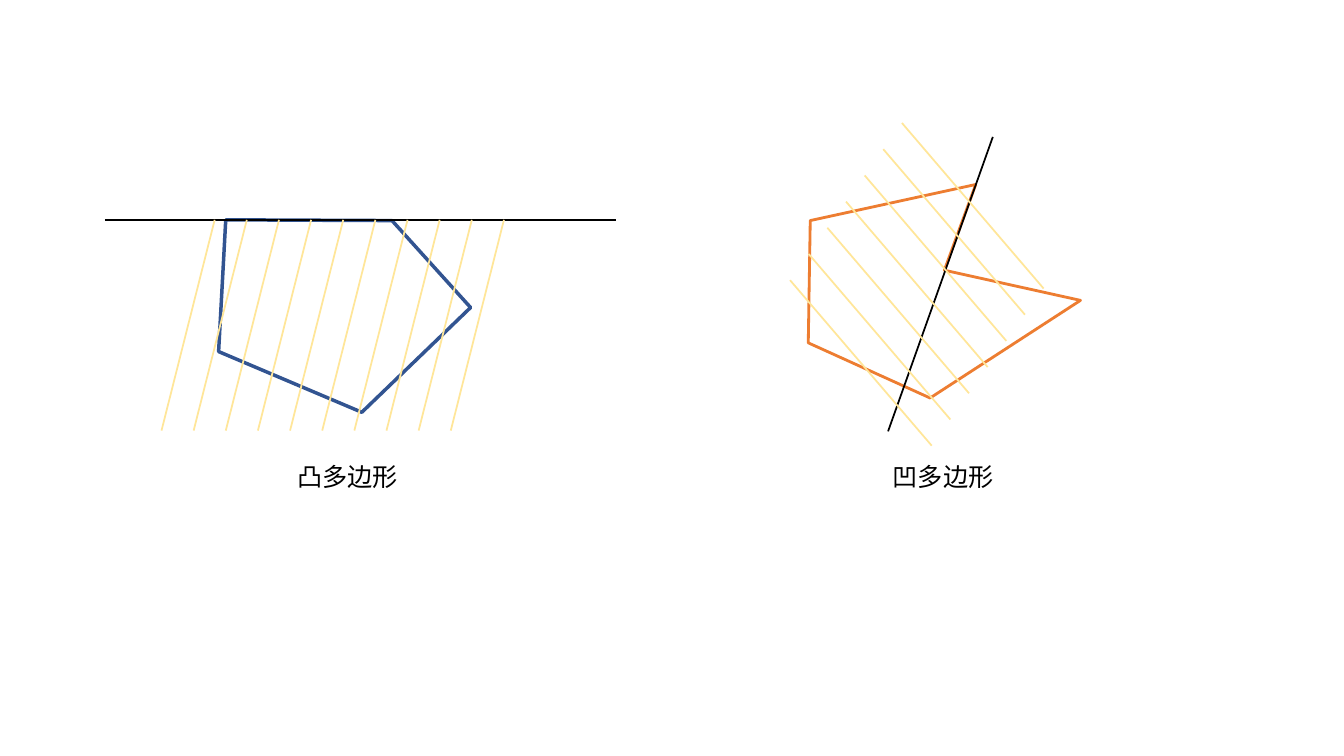
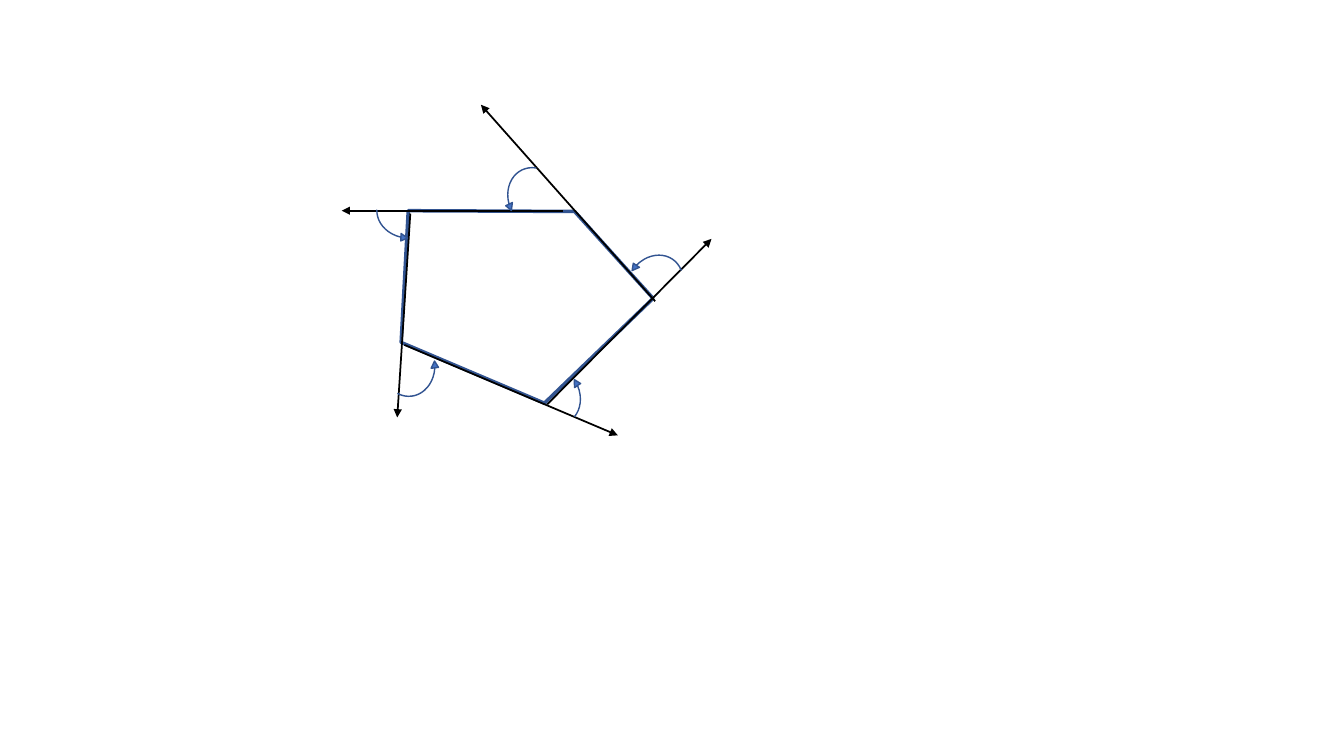
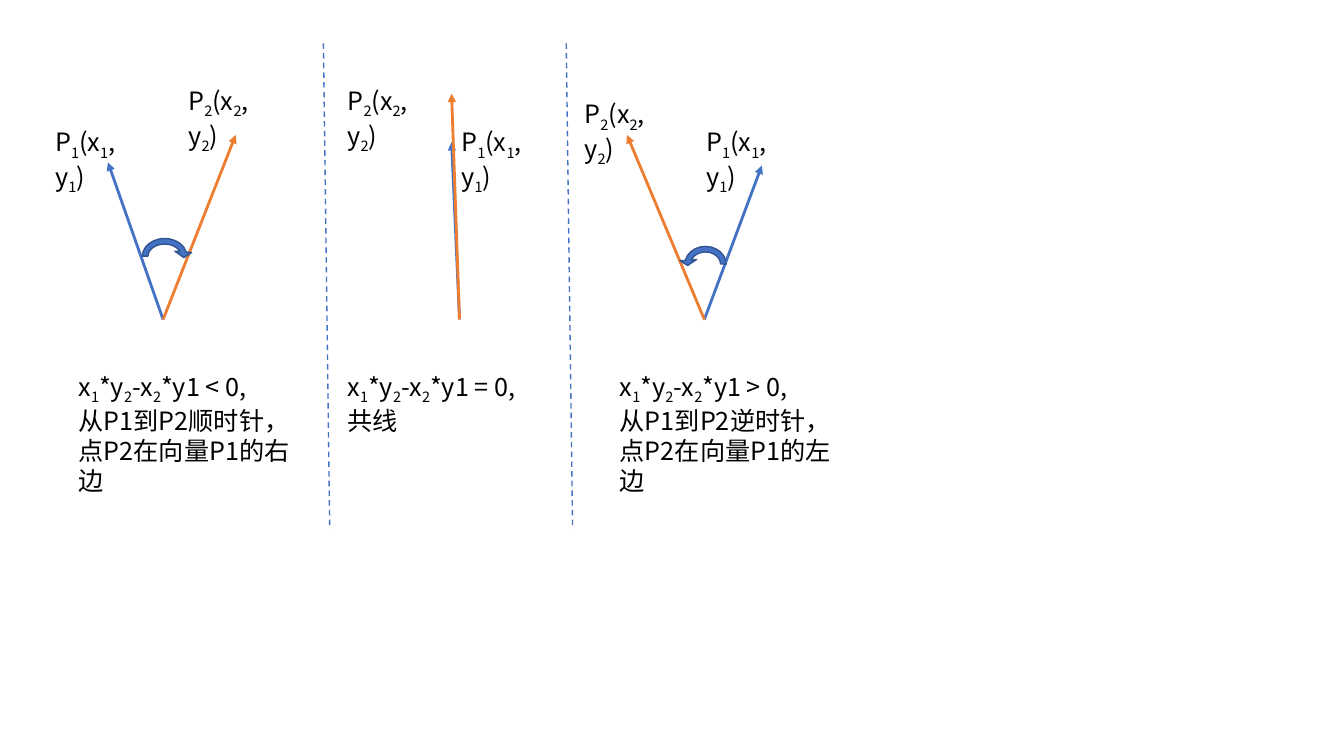
from dataclasses import dataclass

from lxml.etree import SubElement
from pptx import Presentation
from pptx.dml.color import RGBColor
from pptx.enum.dml import MSO_LINE_DASH_STYLE as Dash
from pptx.enum.shapes import MSO_CONNECTOR as Connector, MSO_SHAPE as Preset
from pptx.enum.text import MSO_AUTO_SIZE as AutoSize
from pptx.oxml.ns import qn
from pptx.util import Cm, Pt


@dataclass(frozen=True)
class Theme:
    black: RGBColor = RGBColor.from_string("000000")
    blue: RGBColor = RGBColor.from_string("4472C4")
    navy: RGBColor = RGBColor.from_string("325491")
    orange: RGBColor = RGBColor.from_string("ED7D31")
    yellow: RGBColor = RGBColor.from_string("FFE699")
    font: str = "Noto Sans CJK SC"
    text_size: float = 18
    thin: float = 1
    line: float = 1.25
    vector: float = 2
    outline: float = 2.5


theme = Theme()


def add_text(slide, text, left, top, width, height=1.02, wrap=True):
    """Add a text box; the character after each underscore is a subscript."""
    box = slide.shapes.add_textbox(Cm(left), Cm(top), Cm(width), Cm(height))
    frame = box.text_frame
    frame.word_wrap = wrap
    frame.auto_size = AutoSize.SHAPE_TO_FIT_TEXT
    for index, row in enumerate(text.split("\n")):
        paragraph = frame.paragraphs[0] if index == 0 else frame.add_paragraph()
        first, *others = row.split("_")
        pieces = [(first, False)]
        for part in others:
            pieces += [(part[0], True), (part[1:], False)]
        for piece, subscript in pieces:
            if not piece:
                continue
            run = paragraph.add_run()
            run.text = piece
            run.font.size = Pt(theme.text_size)
            run.font.name = theme.font
            run.font.color.rgb = theme.black
            properties = run.font._element
            SubElement(properties, qn("a:ea")).set("typeface", theme.font)
            if subscript:
                properties.set("baseline", "-25000")


def add_line(slide, start, end, color=theme.black, width=theme.line,
             arrow=False, dashed=False):
    """Add a straight line; an arrow points at its start."""
    connector = slide.shapes.add_connector(
        Connector.STRAIGHT, *[Cm(value) for value in (*start, *end)])
    connector.line.color.rgb = color
    connector.line.width = Pt(width)
    if dashed:
        connector.line.dash_style = Dash.DASH
    if arrow:
        outline = connector.line._get_or_add_ln()
        SubElement(outline, qn("a:headEnd")).set("type", "triangle")
    SubElement(connector.element.spPr, qn("a:effectLst"))


presentation = Presentation()
presentation.slide_width, presentation.slide_height = Cm(33.87), Cm(19.05)
blank = presentation.slide_layouts[6]
polygon_slide, turning_slide, vector_slide = [
    presentation.slides.add_slide(blank) for _ in range(3)]

# Polygons: the convex one appears again, shifted, on the turning slide
convex = [(5.69, 5.54), (9.88, 5.56), (11.86, 7.75), (9.12, 10.39), (5.51, 8.86)]
concave = [(20.42, 5.56), (24.59, 4.65), (23.8, 6.81), (27.23, 7.57),
           (23.44, 10.03), (20.37, 8.64)]
shifted = [(x + 4.6, y - 0.23) for x, y in convex]
for slide, corners, color, width in (
        (polygon_slide, concave, theme.orange, theme.vector),
        (polygon_slide, convex, theme.navy, theme.outline),
        (turning_slide, shifted, theme.navy, theme.outline)):
    points = [(Cm(x), Cm(y)) for x, y in corners]
    builder = slide.shapes.build_freeform(*points[0])
    builder.add_line_segments(points[1:], close=True)
    polygon = builder.convert_to_shape()
    polygon.shadow.inherit = False
    polygon.fill.background()
    polygon.line.color.rgb = color
    polygon.line.width = Pt(width)

# Slide 1: captions, dividing lines and hatched half-planes
add_text(polygon_slide, "凹多边形", 22.25, 11.51, 3.07, wrap=False)
add_text(polygon_slide, "凸多边形", 7.24, 11.51, 3.07, wrap=False)
add_line(polygon_slide, (2.64, 5.54), (15.52, 5.54))
add_line(polygon_slide, (22.38, 10.87), (25.02, 3.45))
for count, (left, top), (step_x, step_y), (run_x, run_y) in (
        (10, (5.41, 5.54), (0.81, 0), (-1.34, 5.31)),
        (7, (19.91, 7.06), (0.47, -0.66), (3.57, 4.17))):
    for index in range(count):
        x, y = left + index * step_x, top + index * step_y
        add_line(polygon_slide, (x, y), (x + run_x, y + run_y), theme.yellow)

# Slide 2: extended edges
for tip, tail in (
        ((17.93, 6.02), (13.79, 10.19)),
        ((12.12, 2.64), (16.51, 7.59)),
        ((8.61, 5.31), (14.2, 5.31)),
        ((10.01, 10.52), (10.34, 5.38)),
        ((15.57, 10.97), (10.19, 8.69))):
    add_line(turning_slide, tip, tail, arrow=True)

# Slide 3: vector pairs with labels and the sign of the cross product
columns = (
    dict(origin=(4.11, 8.05), p1=(2.72, 4.09), p2=(5.94, 3.4),
         label1=(1.14, 3.07), label2=(4.5, 2.03), wrap1=False, rule_left=1.73,
         rule="x_1*y_2-x_2*y1 < 0,\n从P1到P2顺时针，\n点P2在向量P1的右边"),
    dict(origin=(11.58, 8.05), p1=(11.38, 3.58), p2=(11.38, 2.36),
         label1=(11.38, 3.07), label2=(8.51, 2.03), wrap1=True, rule_left=8.51,
         rule="x_1*y_2-x_2*y1 = 0,\n共线"),
    dict(origin=(17.75, 8.05), p1=(19.2, 4.17), p2=(15.8, 3.4),
         label1=(17.55, 3.07), label2=(14.48, 2.36), wrap1=True, rule_left=15.37,
         rule="x_1*y_2-x_2*y1 > 0,\n从P1到P2逆时针，\n点P2在向量P1的左边"))
for column in columns:
    for end, color in (("p1", theme.blue), ("p2", theme.orange)):
        add_line(vector_slide, column[end], column["origin"], color,
                 theme.vector, arrow=True)
    add_text(vector_slide, "P_1(x_1, y_1)", *column["label1"], 2.74,
             wrap=column["wrap1"])
    add_text(vector_slide, "P_2(x_2, y_2)", *column["label2"], 2.64)
    add_text(vector_slide, column["rule"], column["rule_left"], 9.22, 6.38, 2.57)
for left in (8.15, 14.27):
    add_line(vector_slide, (left, 1.09), (left + 0.16, 13.34), theme.blue,
             theme.thin, dashed=True)

# Turning arrows: thin on slide 2, thick on slide 3
thin_arc = (0, 8.55, 207.52, 146.72, 0.06)
thick_arc = (0.12, 10.43, 208.26, 108, 0.18)
turning_size = (1.55, 1.8)
for slide, place, size, rotation, flipped, arc, arc_start in (
        (turning_slide, (15.72, 6.3), turning_size, 34.2, True, thin_arc, 146.72),
        (turning_slide, (12.73, 4.11), turning_size, 334.6, True, thin_arc, 146.72),
        (turning_slide, (9.53, 4.42), turning_size, 272.8, True, thin_arc, 162.62),
        (turning_slide, (9.5, 8.28), turning_size, 173.1, True, thin_arc, 146.72),
        (turning_slide, (13.13, 9.04), turning_size, 146.7, True, thin_arc, 169.87),
        (vector_slide, (3.45, 5.87), (1.4, 1.17), 0, False, thick_arc, 108),
        (vector_slide, (17.12, 6.07), (1.32, 1.17), 0, True, thick_arc, 108)):
    arrow = slide.shapes.add_shape(
        Preset.CIRCULAR_ARROW, *[Cm(value) for value in (*place, *size)])
    arrow.rotation = rotation
    for index, value in enumerate(arc):
        arrow.adjustments[index] = value
    arrow.adjustments[3] = arc_start
    if flipped:
        arrow.element.spPr.find(qn("a:xfrm")).set("flipH", "1")
    arrow.shadow.inherit = False
    arrow.fill.solid()
    arrow.fill.fore_color.rgb = theme.blue
    arrow.line.color.rgb = theme.navy
    arrow.line.width = Pt(theme.thin)

presentation.save("out.pptx")
